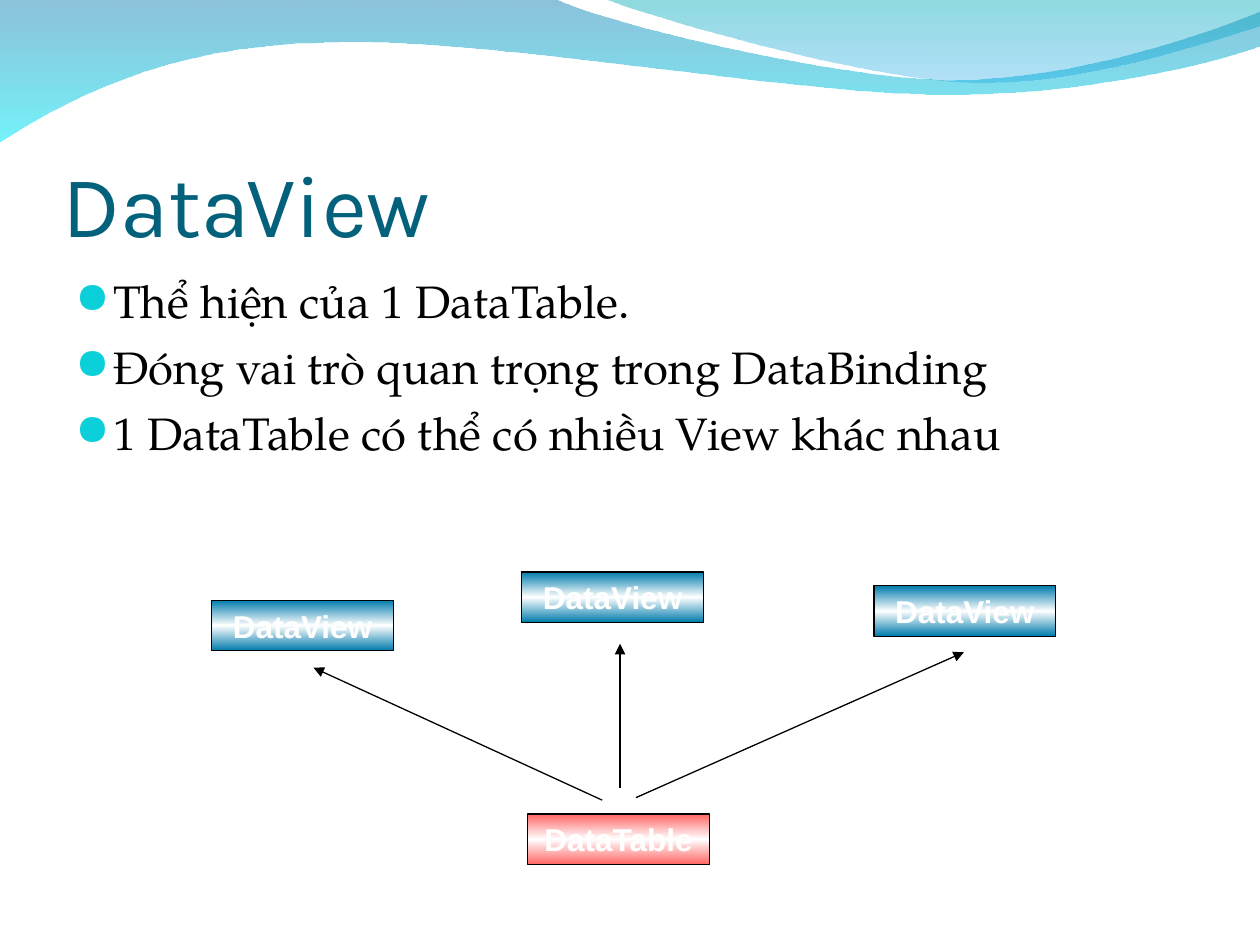
from collections import namedtuple

from lxml.etree import SubElement
from pptx import Presentation
from pptx.dml.color import RGBColor
from pptx.enum.shapes import MSO_CONNECTOR as Connector, MSO_SHAPE as Preset
from pptx.enum.text import MSO_ANCHOR as Anchor, PP_ALIGN as Align
from pptx.oxml.ns import qn
from pptx.util import Cm, Pt

Box = namedtuple("Box", "left top width height")

COLORS = {
    "title": "04617B", "text": "000000", "bullet": "0BD0D9", "label": "FFFFFF",
    "line": "000000", "view": "007BAC", "table": "FF6565", "shine": "FFFFFF",
    "wave_blue": "0079AF", "wave_cyan": "00EBF8",
    "crest_teal": "00ADB6", "crest_blue": "009BE5",
}
WAVE = [
    [(0, -0.03)], [(11.18, -0.03)],
    [(12.09, 0.43), (16.87, 1.6), (19.25, 1.6)],
    [(21.67, 1.6), (24.33, 0.66), (25.4, 0.23)],
    [(25.43, 0.91)],
    [(24.97, 1.12), (22.1, 1.93), (18.95, 1.9)],
    [(15.8, 1.9), (9.7, 0.71), (6.53, 0.86)],
    [(3.28, 0.89), (1.17, 2.11), (-0.03, 2.87)],
]
CREST = [
    [(12.17, -0.03)],
    [(12.93, 0.28), (17.32, 1.57), (19.53, 1.65)],
    [(21.74, 1.75), (24.41, 0.81), (25.4, 0.53)],
    [(25.4, 0)],
]
BULLETS = [
    "Thể hiện của 1 DataTable.",
    "Đóng vai trò quan trọng trong DataBinding",
    "1 DataTable có thể có nhiều View khác nhau",
]
NODES = [
    ("DataTable", "table", 6.37, 4.88),
    ("DataView", "view", 13.35, 0.28),
    ("DataView", "view", 6.25, 0),
    ("DataView", "view", 0, 0.57),
]
ARROWS = [
    ((7.87, 4.6), (2.05, 1.93)),
    ((8.55, 4.55), (15.16, 1.62)),
    ((8.23, 4.35), (8.23, 1.45)),
]


def color(name):
    """Return the named colour."""
    return RGBColor.from_string(COLORS[name])


def set_font(para, name, size, color_name, bold=False):
    """Set the font of a whole paragraph."""
    font = para.font
    font.name, font.size, font.bold = name, Pt(size), bold
    font.color.rgb = color(color_name)


def fill_gradient(shape, stops):
    """Fill a shape downwards with (position, colour, opacity) stops in percent."""
    shape.fill.gradient()
    shape.fill.gradient_angle = 270
    stop_list = shape._element.spPr.find(".//" + qn("a:gsLst"))
    for stop in list(stop_list):
        stop_list.remove(stop)
    for position, name, opacity in stops:
        stop = SubElement(stop_list, qn("a:gs"), pos=str(position * 1000))
        tint = SubElement(stop, qn("a:srgbClr"), val=COLORS[name])
        if opacity < 100:
            SubElement(tint, qn("a:alpha"), val=str(opacity * 1000))


def bend(shape, segments):
    """Turn the outline's lines into cubic curves where a segment has controls."""
    lines = list(shape._element.spPr.iter(qn("a:lnTo")))
    for line, segment in zip(lines, segments[1:]):
        if len(segment) == 3:
            curve = SubElement(line.getparent(), qn("a:cubicBezTo"))
            for x, y in segment:
                SubElement(curve, qn("a:pt"), x=str(x - shape.left), y=str(y - shape.top))
            line.getparent().replace(line, curve)


def add_wave(page, box, outline, stops):
    """Draw one curved band of the header inside the box."""
    segments = [
        [(Cm(box.left + x), Cm(box.top + y)) for x, y in segment] for segment in outline
    ]
    corners = [segment[-1] for segment in segments]
    builder = page.shapes.build_freeform(*corners[0])
    builder.add_line_segments(corners[1:], close=True)
    wave = builder.convert_to_shape()
    bend(wave, segments)
    wave.shadow.inherit = False
    wave.line.fill.background()
    fill_gradient(wave, stops)


def add_header(page, box):
    """Draw the two overlapping waves."""
    add_wave(page, box, WAVE, [(0, "wave_blue", 45), (100, "wave_cyan", 55)])
    add_wave(page, box, CREST, [(0, "crest_teal", 45), (100, "crest_blue", 30)])


def add_frame(page, box):
    """Add a wrapping text box and return its text frame."""
    frame = page.shapes.add_textbox(*map(Cm, box)).text_frame
    frame.word_wrap = True
    return frame


def add_title(page, box, text):
    """Write the title at the bottom of the box."""
    frame = add_frame(page, box)
    frame.vertical_anchor = Anchor.BOTTOM
    frame.margin_left = frame.margin_right = frame.margin_bottom = 0
    para = frame.paragraphs[0]
    para.text = text
    set_font(para, "Karla", 50, "title")


def add_bullets(page, box, lines):
    """Write a bulleted list from the top of the box."""
    frame = add_frame(page, box)
    for index, line in enumerate(lines):
        para = frame.add_paragraph() if index else frame.paragraphs[0]
        para.text = line
        para.space_before = Pt(6.5)
        set_font(para, "TeX Gyre Pagella", 26, "text")
        props = para._p.get_or_add_pPr()
        props.set("marL", str(Cm(0.76)))
        props.set("indent", str(Cm(-0.76)))
        tint = SubElement(props, qn("a:buClr"))
        SubElement(tint, qn("a:srgbClr"), val=COLORS["bullet"])
        SubElement(props, qn("a:buSzPct"), val="95000")
        SubElement(props, qn("a:buFont"), typeface="OpenSymbol")
        SubElement(props, qn("a:buChar"), char="●")
        props.append(props.find(qn("a:defRPr")))


def add_node(page, box, text, color_name):
    """Draw a labelled box with a shining middle."""
    node = page.shapes.add_shape(Preset.RECTANGLE, *map(Cm, box))
    node.shadow.inherit = False
    fill_gradient(node, [(0, color_name, 100), (50, "shine", 100), (100, color_name, 100)])
    node.line.color.rgb = color("line")
    node.line.width = Pt(0.75)
    frame = node.text_frame
    frame.vertical_anchor = Anchor.MIDDLE
    para = frame.paragraphs[0]
    para.text = text
    para.alignment = Align.CENTER
    set_font(para, "Arial", 18, "label", bold=True)


def add_arrow(page, start, end):
    """Draw an arrow between two points."""
    arrow = page.shapes.add_connector(Connector.STRAIGHT, *map(Cm, (*start, *end)))
    arrow.line.color.rgb = color("line")
    arrow.line.width = Pt(0.75)
    SubElement(arrow.line._get_or_add_ln(), qn("a:tailEnd"), type="triangle")
    SubElement(arrow._element.spPr, qn("a:effectLst"))


def add_diagram(page, box):
    """Draw one table with arrows to its views."""
    for text, color_name, x, y in NODES:
        add_node(page, Box(box.left + x, box.top + y, 3.66, 1.02), text, color_name)
    for ends in ARROWS:
        add_arrow(page, *[(box.left + x, box.top + y) for x, y in ends])


def main():
    """Build and save the slide."""
    deck = Presentation()
    deck.slide_width, deck.slide_height = Cm(25.4), Cm(19.05)
    page = deck.slides.add_slide(deck.slide_layouts[6])
    add_header(page, Box(0, 0, 25.4, 2.87))
    add_title(page, Box(1.27, 1.96, 22.86, 3.18), "DataView")
    add_bullets(page, Box(1.27, 5.38, 22.86, 12.19), BULLETS)
    add_diagram(page, Box(4.27, 11.53, 17.02, 5.9))
    deck.save("out.pptx")


if __name__ == "__main__":
    main()
